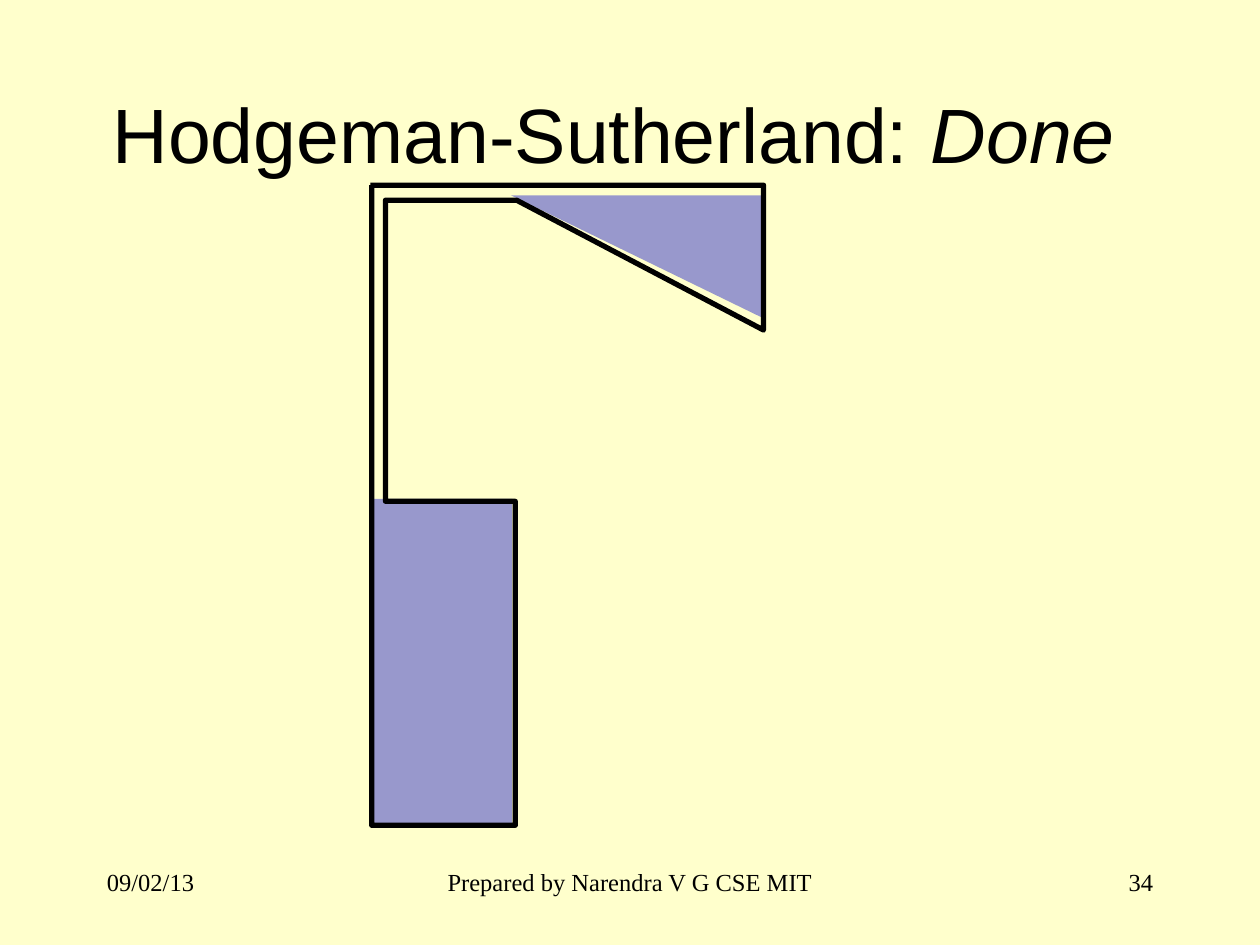
import lxml.etree
import pptx
import pptx.dml.color
import pptx.enum.shapes
import pptx.enum.text
import pptx.oxml.ns
import pptx.util

Pt = pptx.util.Pt
Kind = pptx.enum.shapes.MSO_SHAPE
Align = pptx.enum.text.PP_ALIGN
qn = pptx.oxml.ns.qn

HUES = {"page": "FFFFCC", "ink": "000000", "fill": "3333CC"}


def hue(name):
    """Return the named colour."""
    return pptx.dml.color.RGBColor.from_string(HUES[name])


def style(font, name, size):
    """Set face, size and ink colour of a font."""
    font.name, font.size = name, Pt(size)
    font.color.rgb = hue("ink")


def title(slide, box):
    """Place the heading with its last word in italics."""
    head = slide.shapes.title
    head.left, head.top, head.width, head.height = map(Pt, box)
    frame = head.text_frame
    frame.auto_size = pptx.enum.text.MSO_AUTO_SIZE.NONE
    frame.vertical_anchor = pptx.enum.text.MSO_ANCHOR.MIDDLE
    para = frame.paragraphs[0]
    para.alignment = Align.RIGHT
    style(para.font, "Arial", 44)
    para.add_run().text = "Hodgeman-Sutherland: "
    last = para.add_run()
    last.text = "Done "
    last.font.italic = True


def patch(slide, kind, box, turn=0):
    """Draw a half-transparent area without an outline."""
    area = slide.shapes.add_shape(kind, *map(Pt, box))
    area.rotation = turn
    area.shadow.inherit = False
    area.fill.solid()
    area.fill.fore_color.rgb = hue("fill")
    tint = area.fill._xPr.find(".//" + qn("a:srgbClr"))
    lxml.etree.SubElement(tint, qn("a:alpha")).set("val", "50000")
    area.line.fill.background()


def clip(slide, box):
    """Draw the clipped areas and the outline that joins them."""
    left, top, wide, high = box
    patch(slide, Kind.RECTANGLE, (left + 1.8, top + 179.3, 79.2, 185.8))
    patch(slide, Kind.RIGHT_TRIANGLE,
          (left + 80.3, top + 5.8, 143.3, 69.8), 180)
    dots = [(0, 0), (wide, 0), (wide, 82.8), (83.5, 8.6), (8.6, 8.6),
            (8.6, 180.7), (82.8, 180.7), (82.8, high), (0.7, high), (0.7, 0)]
    spots = [(Pt(left + x), Pt(top + y)) for x, y in dots]
    pen = slide.shapes.build_freeform(*spots[0])
    pen.add_line_segments(spots[1:], close=False)
    edge = pen.convert_to_shape()
    edge.shadow.inherit = False
    edge.fill.background()
    edge.line.color.rgb = hue("ink")
    edge.line.width = Pt(3)
    lxml.etree.SubElement(edge.line._get_or_add_ln(), qn("a:round"))


def footer(slide, box):
    """Place date, author and page number in one row."""
    left, top, wide, high = box
    side, mid = 150, 228
    parts = [("09/02/13", left, side, Align.LEFT),
             ("Prepared by Narendra V G CSE MIT",
              left + (wide - mid) / 2, mid, Align.CENTER),
             ("34", left + wide - side, side, Align.RIGHT)]
    for text, x, width, align in parts:
        note = slide.shapes.add_textbox(Pt(x), Pt(top), Pt(width), Pt(high))
        note.text_frame.word_wrap = True
        para = note.text_frame.paragraphs[0]
        para.text, para.alignment = text, align
        style(para.font, "Times New Roman", 14)


def main():
    """Build and save the slide."""
    deck = pptx.Presentation()
    deck.slide_width, deck.slide_height = Pt(720), Pt(540)
    slide = deck.slides.add_slide(deck.slide_layouts[5])
    slide.background.fill.solid()
    slide.background.fill.fore_color.rgb = hue("page")
    title(slide, (54, 31, 602.6, 90))
    clip(slide, (211.7, 105.8, 224.6, 365.8))
    footer(slide, (54, 491.8, 612, 36))
    deck.save("out.pptx")


if __name__ == "__main__":
    main()
